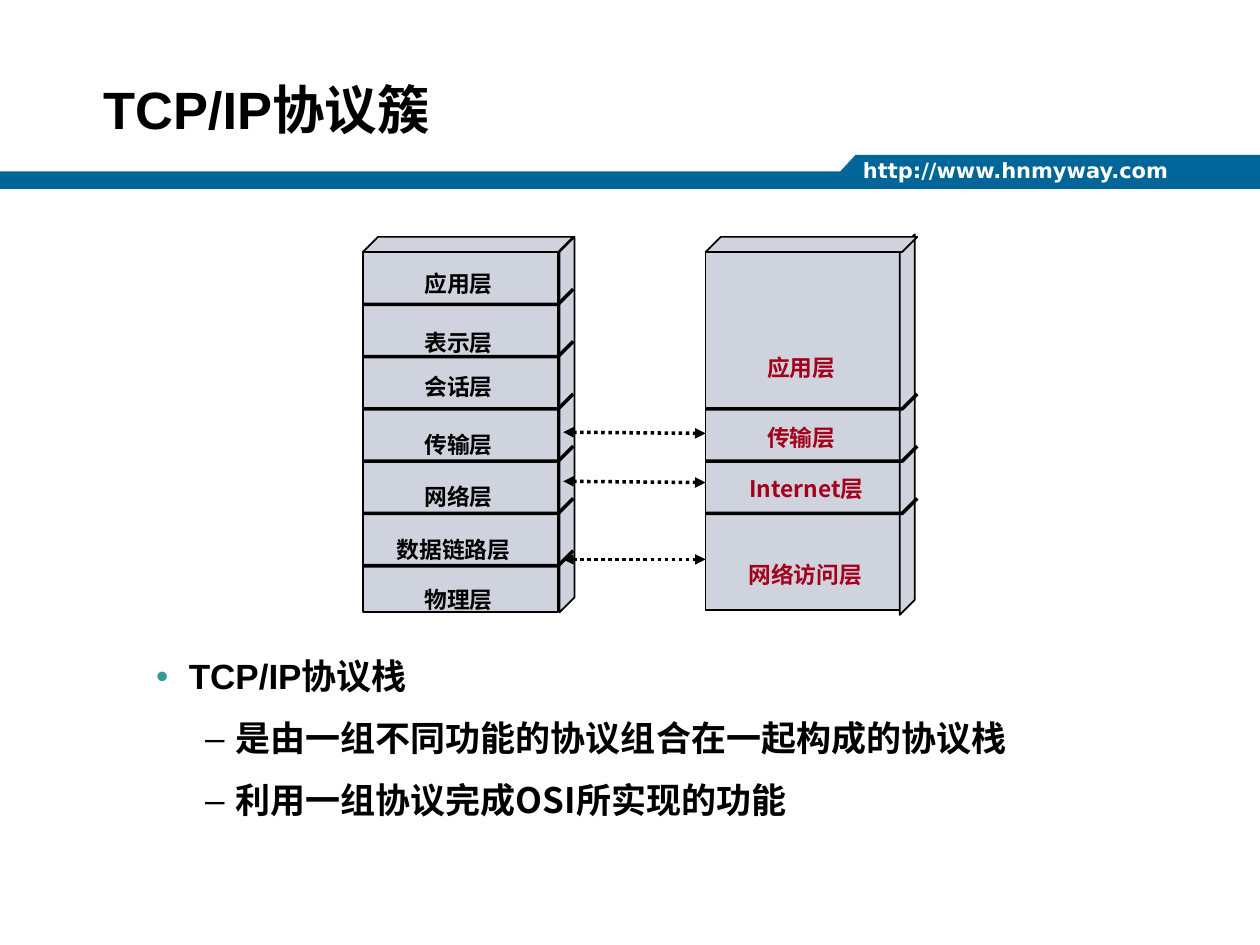
import pptx
import pptx.util
import pptx.dml.color
import pptx.enum.dml
import pptx.enum.shapes
import pptx.enum.text
import pptx.oxml.ns
import lxml.etree
from dataclasses import dataclass


@dataclass(frozen=True)
class Theme:
    band: str = "006699"
    white: str = "FFFFFF"
    ink: str = "000000"
    block: str = "CED3DE"
    accent: str = "A4001B"
    bullet: str = "339999"
    latin: str = "Arial"
    cjk: str = "Noto Sans CJK SC"
    web: str = "DejaVu Sans"
    title: int = 30
    body: int = 20
    label: int = 13
    small: int = 12


theme = Theme()
rgb = pptx.dml.color.RGBColor.from_string
qn = pptx.oxml.ns.qn
Pt = pptx.util.Pt
ALIGN = pptx.enum.text.PP_ALIGN
ANCHOR = pptx.enum.text.MSO_ANCHOR

prs = pptx.Presentation()
prs.slide_width = pptx.util.Inches(10)
prs.slide_height = pptx.util.Inches(7.5)
col = prs.slide_width / 100
row = prs.slide_height / 75
s = prs.slides.add_slide(prs.slide_layouts[6])


def write(text, box=None, tf=None, size=theme.label, color=theme.ink, font=theme.cjk,
          align=ALIGN.LEFT, anchor=ANCHOR.TOP, spacing=1.0, before=0,
          bullet=None, bullet_color=theme.ink, margin=0, hang=0):
    if tf is None:
        x, y, w, h = box
        sp = s.shapes.add_textbox(int(x * col), int(y * row), int(w * col), int(h * row))
        tf = sp.text_frame
        tf.word_wrap = True
        tf.vertical_anchor = anchor
        p = tf.paragraphs[0]
    else:
        p = tf.add_paragraph()
    p.alignment = align
    p.line_spacing = spacing
    p.space_before = Pt(before)
    if bullet:
        pPr = p._p.get_or_add_pPr()
        pPr.set("marL", str(int(margin * col)))
        pPr.set("indent", str(int(-hang * col)))
        clr = lxml.etree.SubElement(pPr, qn("a:buClr"))
        lxml.etree.SubElement(clr, qn("a:srgbClr"), val=bullet_color)
        lxml.etree.SubElement(pPr, qn("a:buFont"), typeface=theme.latin)
        lxml.etree.SubElement(pPr, qn("a:buChar"), char=bullet)
    r = p.add_run()
    r.text = text
    r.font.size = Pt(size)
    r.font.bold = True
    r.font.name = font
    r.font.color.rgb = rgb(color)
    lxml.etree.SubElement(r._r.get_or_add_rPr(), qn("a:ea"), typeface=theme.cjk)
    return tf


def draw(points, fill=None, line=None, width=1, close=True):
    pts = [(int(x * col), int(y * row)) for x, y in points]
    fb = s.shapes.build_freeform(*pts[0], scale=1.0)
    fb.add_line_segments(pts[1:], close=close)
    sp = fb.convert_to_shape()
    sp.shadow.inherit = False
    if fill:
        sp.fill.solid()
        sp.fill.fore_color.rgb = rgb(fill)
    else:
        sp.fill.background()
    if line:
        sp.line.color.rgb = rgb(line)
        sp.line.width = Pt(width)
    else:
        sp.line.fill.background()


draw([(0, 15), (0, 13.6), (66.7, 13.6), (67.9, 12.3), (100, 12.3), (100, 15)], fill=theme.band)
write("http://www.hnmyway.com", box=(67.5, 12, 29.2, 3), size=theme.small,
      color=theme.white, font=theme.web)
write("TCP/IP协议簇", box=(7.2, 2.5, 89.1, 9.2), size=theme.title, font=theme.latin,
      anchor=ANCHOR.BOTTOM, spacing=0.9)

top, pitch, depth = 20, 4.15, 1.2
towers = [
    (28.8, 15.5, 28.6, 44.4, 18.8, 48.6, 44.3, range(1, 7)),
    (56, 15.4, 28.4, 71.4, 18.6, 48.8, 71.6, range(3, 6)),
]
for x, w, h, side, side_top, side_end, edge, cuts in towers:
    sp = s.shapes.add_shape(pptx.enum.shapes.MSO_SHAPE.RECTANGLE,
                            int(x * col), int(top * row), int(w * col), int(h * row))
    sp.shadow.inherit = False
    sp.fill.solid()
    sp.fill.fore_color.rgb = rgb(theme.block)
    sp.line.color.rgb = rgb(theme.ink)
    sp.line.width = Pt(1)
    back = side + depth
    draw([(back, side_top), (side, side_top + depth), (side, side_end), (back, side_end - depth)],
         fill=theme.block, line=theme.ink)
    draw([(x, top), (x + depth, top - depth), (edge + depth, top - depth), (edge, top)],
         fill=theme.block, line=theme.ink)
    for k in cuts:
        y = top + k * pitch
        draw([(x, y), (edge, y), (edge + depth, y - depth)], line=theme.ink, width=2, close=False)

for y1, y2 in [(34.3, 34.4), (38.2, 38.3), (44.4, 44.4)]:
    cx = s.shapes.add_connector(pptx.enum.shapes.MSO_CONNECTOR.STRAIGHT,
                                int(44.7 * col), int(y1 * row), int(56 * col), int(y2 * row))
    cx.line.color.rgb = rgb(theme.ink)
    cx.line.width = Pt(2)
    cx.line.dash_style = pptx.enum.dml.MSO_LINE.ROUND_DOT
    ln = cx.line._get_or_add_ln()
    for end in ("a:headEnd", "a:tailEnd"):
        lxml.etree.SubElement(ln, qn(end), type="triangle")
    lxml.etree.SubElement(cx._element.spPr, qn("a:effectLst"))

labels = [
    ("应用层", 36.4, 20.9, theme.ink),
    ("表示层", 36.4, 25.6, theme.ink),
    ("会话层", 36.4, 29.1, theme.ink),
    ("传输层", 36.4, 33.7, theme.ink),
    ("网络层", 36.4, 37.8, theme.ink),
    ("数据链路层", 36, 42, theme.ink),
    ("物理层", 36.4, 46, theme.ink),
    ("应用层", 63.6, 27.6, theme.accent),
    ("传输层", 63.6, 33.1, theme.accent),
    ("Internet层", 64, 37.2, theme.accent),
    ("网络访问层", 63.9, 44, theme.accent),
]
for text, center, y, color in labels:
    write(text, box=(center - 8, y, 16, 3.2), color=color, align=ALIGN.CENTER)

tf = write("TCP/IP协议栈", box=(11.4, 51.7, 79.6, 17.6), size=theme.body, font=theme.latin,
           spacing=0.95, bullet="•", bullet_color=theme.bullet, margin=2.6, hang=2.6)
for text in ["是由一组不同功能的协议组合在一起构成的协议栈", "利用一组协议完成OSI所实现的功能"]:
    write(text, tf=tf, size=theme.body, spacing=0.95, before=12.5,
          bullet="–", margin=6.3, hang=2.4)

prs.save("out.pptx")
